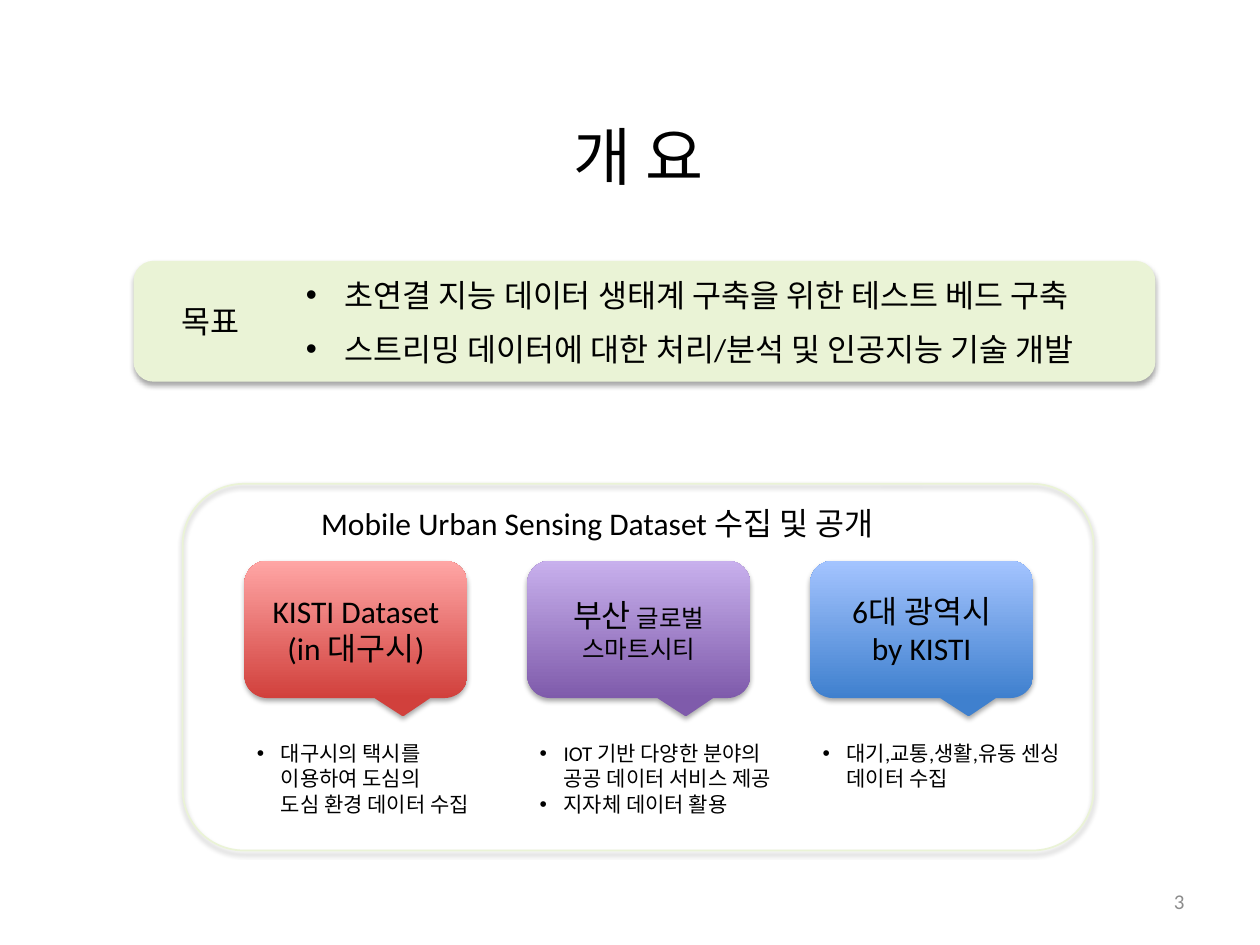
from lxml import etree
from pptx import Presentation
from pptx.dml.color import RGBColor
from pptx.enum.shapes import MSO_SHAPE
from pptx.enum.text import MSO_ANCHOR, PP_ALIGN
from pptx.oxml.ns import qn
from pptx.util import Inches, Pt

ROUNDED = MSO_SHAPE.ROUNDED_RECTANGLE
CALLOUT = MSO_SHAPE.ROUNDED_RECTANGULAR_CALLOUT
LEFT, CENTER, RIGHT = PP_ALIGN.LEFT, PP_ALIGN.CENTER, PP_ALIGN.RIGHT
TOP, MIDDLE = MSO_ANCHOR.TOP, MSO_ANCHOR.MIDDLE

COLORS = {
    "text": "000000", "number": "8C8C8C", "green": "EAF3D6", "shadow": "000000",
    "red": ("D1403C", "FFA6A5"),
    "purple": ("7F5BAB", "C8B0ED"),
    "blue": ("3F80CE", "A4C4FF"),
}
BODY_FONT, TITLE_FONT = "Calibri", "Noto Sans CJK KR"

# Grid of the three data set columns, in inches
COLUMN_LEFT, COLUMN_STEP = 1.94, 2.245
CALLOUT_TOP, CALLOUT_WIDTH, CALLOUT_HEIGHT = 4.45, 1.77, 1.09
NOTE_TOP = 5.83

# Each column: gradient, callout lines of (text, size) runs, note width,
# note paragraphs of (text, has bullet)
COLUMNS = [
    ("red", [[("KISTI Dataset", 18)], [("(in 대구시)", 18)]], 2.14,
     [("대구시의 택시를 이용하여 도심의", True), ("도심 환경 데이터 수집", False)]),
    ("purple", [[("부산", 18), (" 글로벌", 14)], [("스마트시티", 14)]], 2.29,
     [("IOT 기반 다양한 분야의 공공 데이터 서비스 제공", True),
      ("지자체 데이터 활용", True)]),
    ("blue", [[("6대 광역시", 18)], [("by KISTI", 18)]], 2.14,
     [("대기,교통,생활,유동 센싱 데이터 수집", True)]),
]
GOALS = ["초연결 지능 데이터 생태계 구축을 위한 테스트 베드 구축",
         "스트리밍 데이터에 대한 처리/분석 및 인공지능 기술 개발"]


def rgb(value):
    return RGBColor.from_string(value)


def add_shadow(shape):
    """Give a shape a soft shadow straight below it."""
    shape.shadow.inherit = False
    effects = shape._element.spPr.find(qn("a:effectLst"))
    outer = etree.SubElement(effects, qn("a:outerShdw"), blurRad=str(Pt(3.1)),
                             dist=str(Pt(1.8)), dir="5400000", rotWithShape="0")
    color = etree.SubElement(outer, qn("a:srgbClr"), val=COLORS["shadow"])
    etree.SubElement(color, qn("a:alpha"), val="35000")


def add_panel(slide, kind, box):
    shape = slide.shapes.add_shape(kind, *map(Inches, box))
    shape.line.fill.background()
    add_shadow(shape)
    return shape


def set_indent(paragraph, indent, bullet):
    properties = paragraph._p.get_or_add_pPr()
    properties.set("marL", str(Inches(indent)))
    properties.set("indent", str(-Inches(indent) if bullet else 0))
    if bullet:
        etree.SubElement(properties, qn("a:buFont"), typeface="Arial")
        etree.SubElement(properties, qn("a:buChar"), char="•")


def add_run(paragraph, text, size, color="text", font=BODY_FONT):
    run = paragraph.add_run()
    run.text = text
    run.font.color.rgb = rgb(COLORS[color])
    for name, value in {"size": Pt(size), "name": font}.items():
        setattr(run.font, name, value)
    # Korean letters follow the same typeface
    etree.SubElement(run.font._element, qn("a:ea"), typeface=font)


def next_paragraph(frame, index, align):
    paragraph = frame.add_paragraph() if index else frame.paragraphs[0]
    paragraph.alignment = align
    return paragraph


def add_text(slide, box, lines, size, align=LEFT, anchor=TOP, indent=0, **style):
    """Add a text box; each line is a text with its bullet flag."""
    frame = slide.shapes.add_textbox(*map(Inches, box)).text_frame
    for name, value in {"word_wrap": True, "vertical_anchor": anchor}.items():
        setattr(frame, name, value)
    for index, (text, bullet) in enumerate(lines):
        paragraph = next_paragraph(frame, index, align)
        if indent:
            set_indent(paragraph, indent, bullet)
        add_run(paragraph, text, size, **style)


def add_callout(slide, left, gradient, lines):
    box = (left, CALLOUT_TOP, CALLOUT_WIDTH, CALLOUT_HEIGHT)
    shape = add_panel(slide, CALLOUT, box)
    for index, value in enumerate((0.211, 0.634, 0.167)):
        shape.adjustments[index] = value
    # Dark at the bottom, light at the top
    shape.fill.gradient()
    shape.fill.gradient_angle = 90
    for stop, color in zip(shape.fill.gradient_stops, COLORS[gradient]):
        stop.color.rgb = rgb(color)
    shape.text_frame.vertical_anchor = MIDDLE
    for index, runs in enumerate(lines):
        paragraph = next_paragraph(shape.text_frame, index, CENTER)
        for text, size in runs:
            add_run(paragraph, text, size)


def add_goals(slide):
    panel = add_panel(slide, ROUNDED, (1.06, 2.07, 8.11, 0.96))
    panel.fill.solid()
    panel.fill.fore_color.rgb = rgb(COLORS["green"])
    add_text(slide, (1.34, 2.35, 0.9, 0.4), [("목표", False)], 18)
    for row, goal in enumerate(GOALS):
        add_text(slide, (2.33, 2.14 + 0.43 * row, 6.84, 0.4), [(goal, True)], 18,
                 indent=0.31)


def add_datasets(slide):
    frame = add_panel(slide, ROUNDED, (1.45, 3.84, 7.23, 2.91))
    frame.fill.background()
    frame.line.color.rgb = rgb(COLORS["green"])
    frame.line.width = Pt(1)
    add_text(slide, (2.45, 3.95, 5.03, 0.4),
             [("Mobile Urban Sensing Dataset 수집 및 공개", False)], 18)
    for column, (gradient, lines, width, notes) in enumerate(COLUMNS):
        left = COLUMN_LEFT + COLUMN_STEP * column
        add_callout(slide, left, gradient, lines)
        add_text(slide, (left, NOTE_TOP, width, 0.71), notes, 12, indent=0.19)


def main():
    presentation = Presentation()
    presentation.slide_width, presentation.slide_height = Inches(10), Inches(7.5)
    slide = presentation.slides.add_slide(presentation.slide_layouts[6])
    # Title
    add_text(slide, (0.57, 0.82, 8.99, 0.83), [("개 요", False)], 36,
             CENTER, MIDDLE, font=TITLE_FONT)
    add_goals(slide)
    add_datasets(slide)
    # Slide number
    add_text(slide, (7.17, 6.95, 2.33, 0.4), [("3", False)], 12,
             RIGHT, MIDDLE, color="number")
    presentation.save("out.pptx")


if __name__ == "__main__":
    main()
